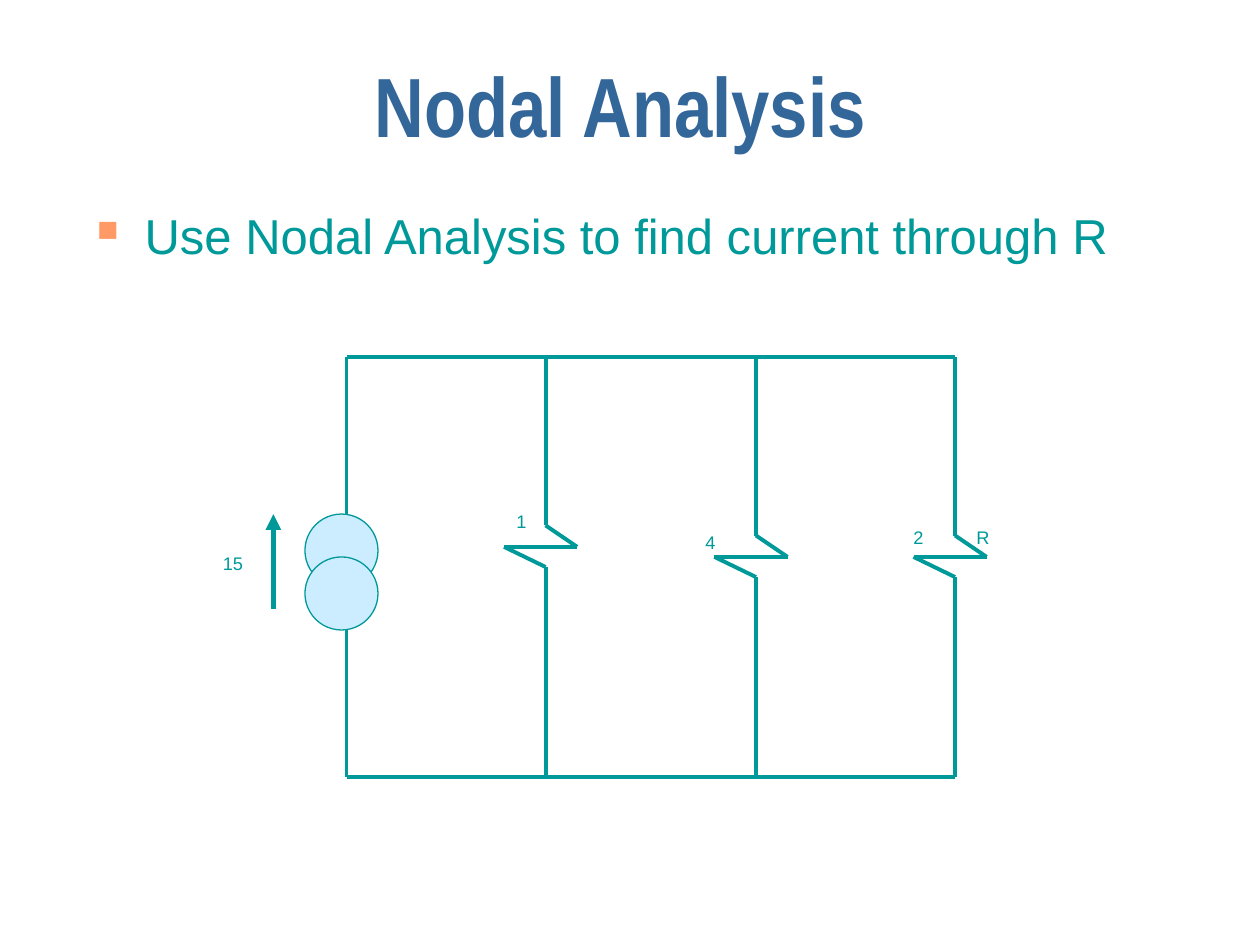
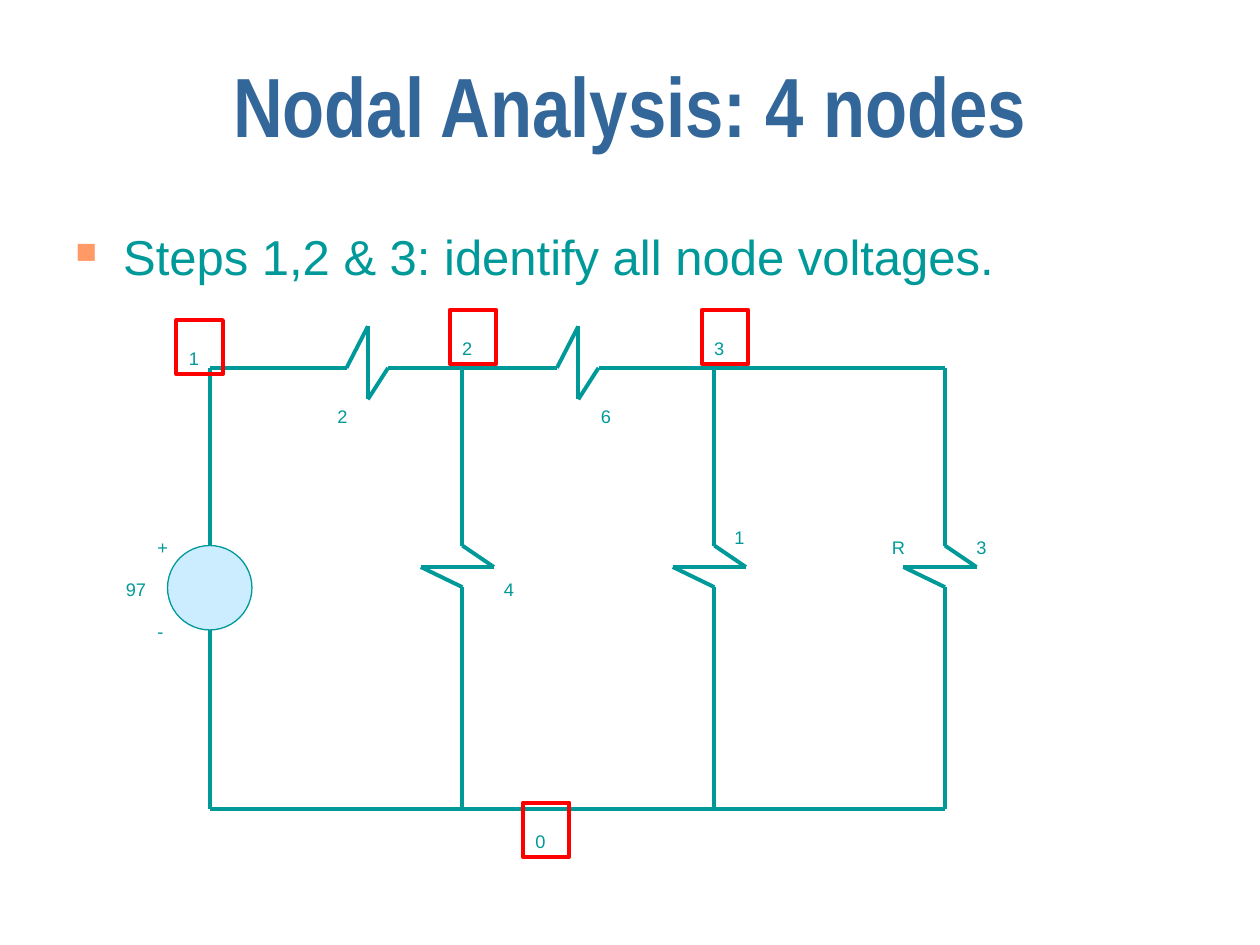
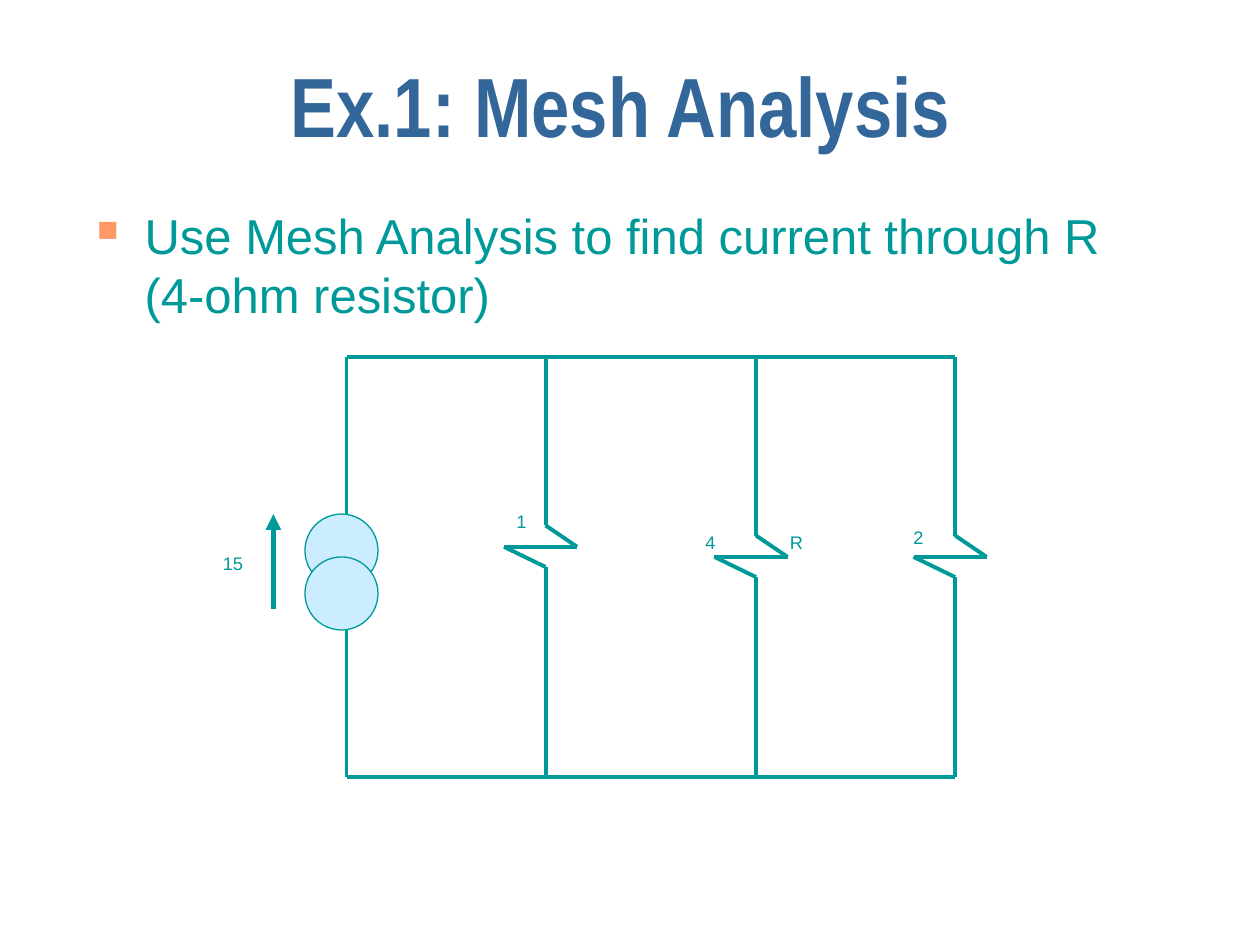
from itertools import pairwise

from lxml import etree
from pptx import Presentation
from pptx.dml.color import RGBColor
from pptx.enum.shapes import MSO_CONNECTOR, MSO_SHAPE
from pptx.enum.text import MSO_ANCHOR, MSO_AUTO_SIZE, PP_ALIGN
from pptx.oxml.ns import qn
from pptx.util import Inches, Pt

BLUE, TEAL, PALE = "336699", "009999", "CCECFF"
ORANGE, RED = "FF9966", "FF0000"
WIDTHS = {"R": 0.38, "+": 0.35, "-": 0.28}


def paint(color, value):
    color.rgb = RGBColor.from_string(value)


def style(para, size, color, name="Arial", bold=False):
    font = para.font
    font.name, font.size, font.bold = name, Pt(size), bold
    paint(font.color, color)


def place(shape, left, top, width, height):
    shape.left, shape.top = Inches(left), Inches(top)
    shape.width, shape.height = Inches(width), Inches(height)


def outline(shape, color, width):
    paint(shape.line.color, color)
    shape.line.width = Pt(width)


def add_title(slide, text):
    title = slide.shapes.title
    place(title, 0.5, 0.3, 9, 1.25)
    frame = title.text_frame
    frame.text = text
    frame.auto_size = MSO_AUTO_SIZE.NONE
    frame.vertical_anchor = MSO_ANCHOR.MIDDLE
    para = frame.paragraphs[0]
    para.alignment, para.line_spacing = PP_ALIGN.CENTER, 0.7
    style(para, 48, BLUE, "Arial Narrow", True)


def add_bullet(para):
    props = para._p.get_or_add_pPr()
    props.set("marL", str(Inches(0.38)))
    props.set("indent", str(-Inches(0.38)))
    color = etree.SubElement(props, qn("a:buClr"))
    etree.SubElement(color, qn("a:srgbClr"), val=ORANGE)
    etree.SubElement(props, qn("a:buSzPct"), val="60000")
    etree.SubElement(props, qn("a:buChar"), char="■")


def add_body(slide, text, left, top, width, height):
    box = slide.shapes.add_textbox(*map(Inches, (left, top, width, height)))
    frame = box.text_frame
    frame.word_wrap = True
    frame.text = text
    para = frame.paragraphs[0]
    para.space_before = Pt(5.6)
    add_bullet(para)
    style(para, 28, TEAL)


def write(shape, text):
    """Put a small lowered text in a shape that grows with it."""
    frame = shape.text_frame
    frame.word_wrap = False
    frame.auto_size = MSO_AUTO_SIZE.SHAPE_TO_FIT_TEXT
    frame.vertical_anchor = MSO_ANCHOR.TOP
    frame.text = text
    para = frame.paragraphs[0]
    para.alignment = PP_ALIGN.LEFT
    style(para, 18, TEAL)
    para.runs[0]._r.get_or_add_rPr().set("baseline", "-25000")


def add_labels(slide, *labels):
    for text, left, top in labels:
        width = WIDTHS.get(text, 0.2 + 0.14 * len(text))
        box = slide.shapes.add_textbox(*map(Inches, (left, top, width, 0.4)))
        write(box, text)


def add_node(slide, text, left, top):
    node = slide.shapes.add_shape(
        MSO_SHAPE.RECTANGLE, *map(Inches, (left, top, 0.37, 0.43)))
    node.shadow.inherit = False
    node.fill.background()
    outline(node, RED, 2.25)
    write(node, text)


def add_circle(slide, left, top, size):
    disc = slide.shapes.add_shape(
        MSO_SHAPE.OVAL, *map(Inches, (left, top, size, size)))
    disc.shadow.inherit = False
    disc.fill.solid()
    paint(disc.fill.fore_color, PALE)
    outline(disc, TEAL, 0.75)


def add_line(slide, start, end, width=2.25):
    line = slide.shapes.add_connector(
        MSO_CONNECTOR.STRAIGHT, *map(Inches, (*start, *end)))
    outline(line, TEAL, width)
    etree.SubElement(line._element.spPr, qn("a:effectLst"))
    return line


def add_arrow(slide, start, end):
    arrow = add_line(slide, start, end, 3)
    etree.SubElement(arrow.line._get_or_add_ln(), qn("a:tailEnd"), type="triangle")


def add_wire(slide, *points):
    for start, end in pairwise(points):
        add_line(slide, start, end)


def add_branch(slide, x, top, y, bottom):
    """Draw a vertical wire with a resistor that begins at y."""
    add_wire(slide, (x, top), (x, y), (x + 0.25, y + 0.17),
             (x - 0.33, y + 0.17), (x, y + 0.33), (x, bottom))


def add_rail(slide, left, right, y, *starts):
    """Draw a horizontal wire with a resistor at each start."""
    points = [(left, y)]
    for x in starts:
        points += [(x, y), (x + 0.17, y - 0.33),
                   (x + 0.17, y + 0.25), (x + 0.33, y)]
    add_wire(slide, *points, (right, y))


def add_parallel(slide, mark):
    """Draw a current source with three resistors, R marked at the given place."""
    left, right, top, bottom = 2.75, 7.58, 2.83, 6.17
    for y in (4.08, 4.42):
        add_circle(slide, 2.42, y, 0.58)
    add_wire(slide, (left, 4.08), (left, top))
    add_wire(slide, (left, 5), (left, bottom))
    for y in (top, bottom):
        add_rail(slide, left, right, y)
    for x, y in ((4.33, 4.17), (6, 4.25), (right, 4.25)):
        add_branch(slide, x, top, y, bottom)
    add_arrow(slide, (2.17, 4.83), (2.17, 4.08))
    add_labels(slide, ("1", 4, 3.83), ("4", 5.5, 4), ("15", 1.67, 4.17),
               ("2", 7.15, 3.96), ("R", *mark))


def add_ladder(slide):
    """Draw a voltage source with five resistors and four nodes."""
    left, right, top, bottom = 1.67, 7.5, 2.92, 6.42
    add_circle(slide, 1.33, 4.33, 0.67)
    add_wire(slide, (left, 4.33), (left, top))
    add_wire(slide, (left, 5), (left, bottom))
    add_rail(slide, left, right, top, 2.75, 4.42)
    add_rail(slide, left, right, bottom)
    for x in (3.67, 5.67, right):
        add_branch(slide, x, top, 4.33, bottom)
    add_labels(slide, ("+", 1.15, 4.04), ("-", 1.15, 4.71), ("97", 0.9, 4.37),
               ("2", 2.58, 3), ("6", 4.67, 3), ("4", 3.9, 4.37),
               ("1", 5.73, 3.96), ("R", 6.98, 4.04), ("3", 7.65, 4.04))
    for text, x, y in (("1", 1.4, 2.54), ("2", 3.57, 2.46),
                       ("3", 5.57, 2.46), ("0", 4.15, 6.37)):
        add_node(slide, text, x, y)


def add_slide(deck, title, body, area=(0.67, 1.58, 8.67, 4.83)):
    slide = deck.slides.add_slide(deck.slide_layouts[5])
    add_title(slide, title)
    add_body(slide, body, *area)
    return slide


def main():
    deck = Presentation()
    deck.slide_width, deck.slide_height = Inches(10), Inches(7.5)

    nodal = add_slide(deck, "Nodal Analysis ",
                      "Use Nodal Analysis to find current through R")
    add_parallel(nodal, (7.65, 3.96))

    steps = add_slide(deck, "Nodal Analysis: 4 nodes",
                      "Steps 1,2 & 3: identify all node voltages.",
                      (0.5, 1.75, 9, 4.95))
    add_ladder(steps)

    mesh = add_slide(deck, "Ex.1: Mesh Analysis ",
                     "Use Mesh Analysis to find current through R (4-ohm resistor)")
    add_parallel(mesh, (6.17, 4))

    deck.save("out.pptx")


if __name__ == "__main__":
    main()
